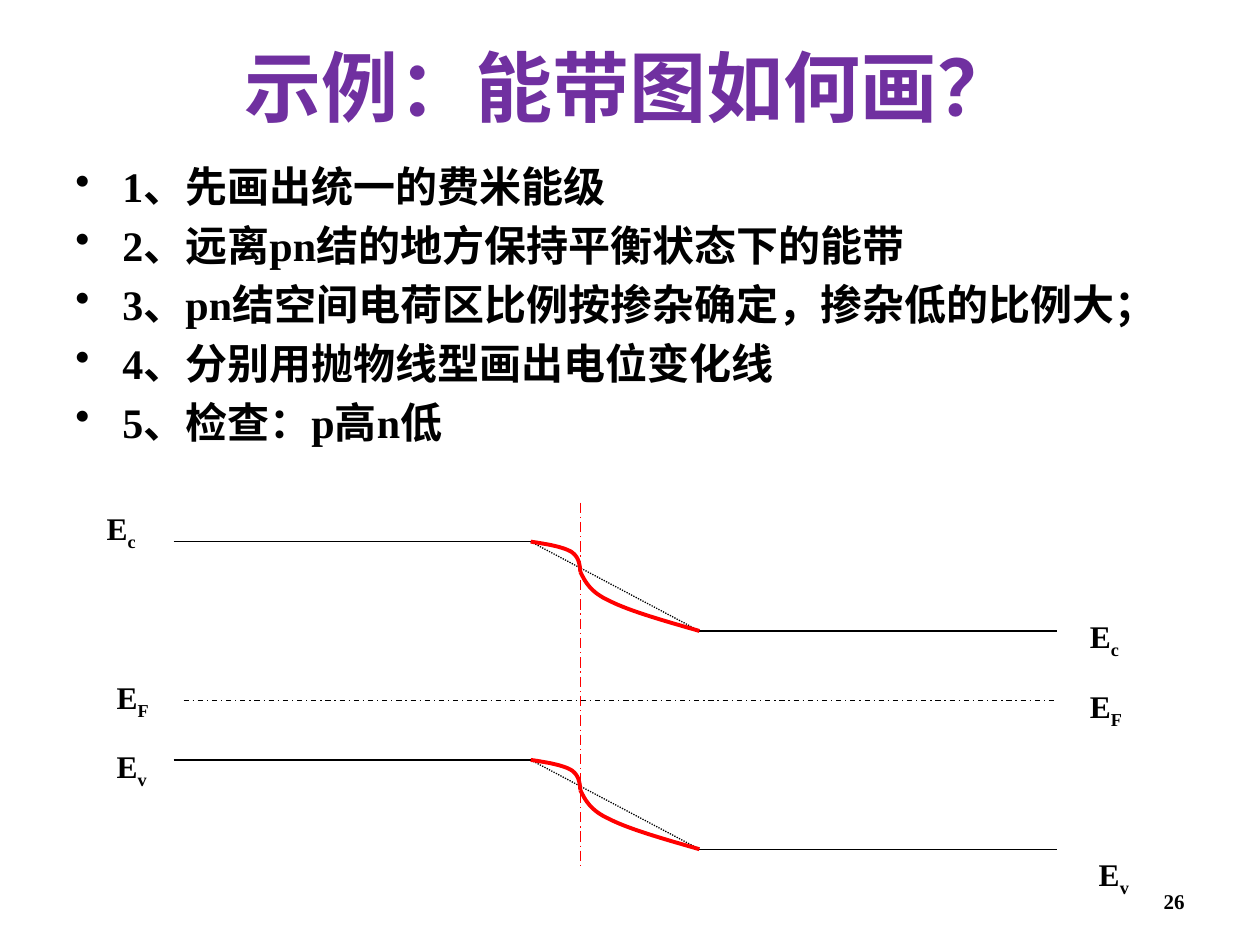
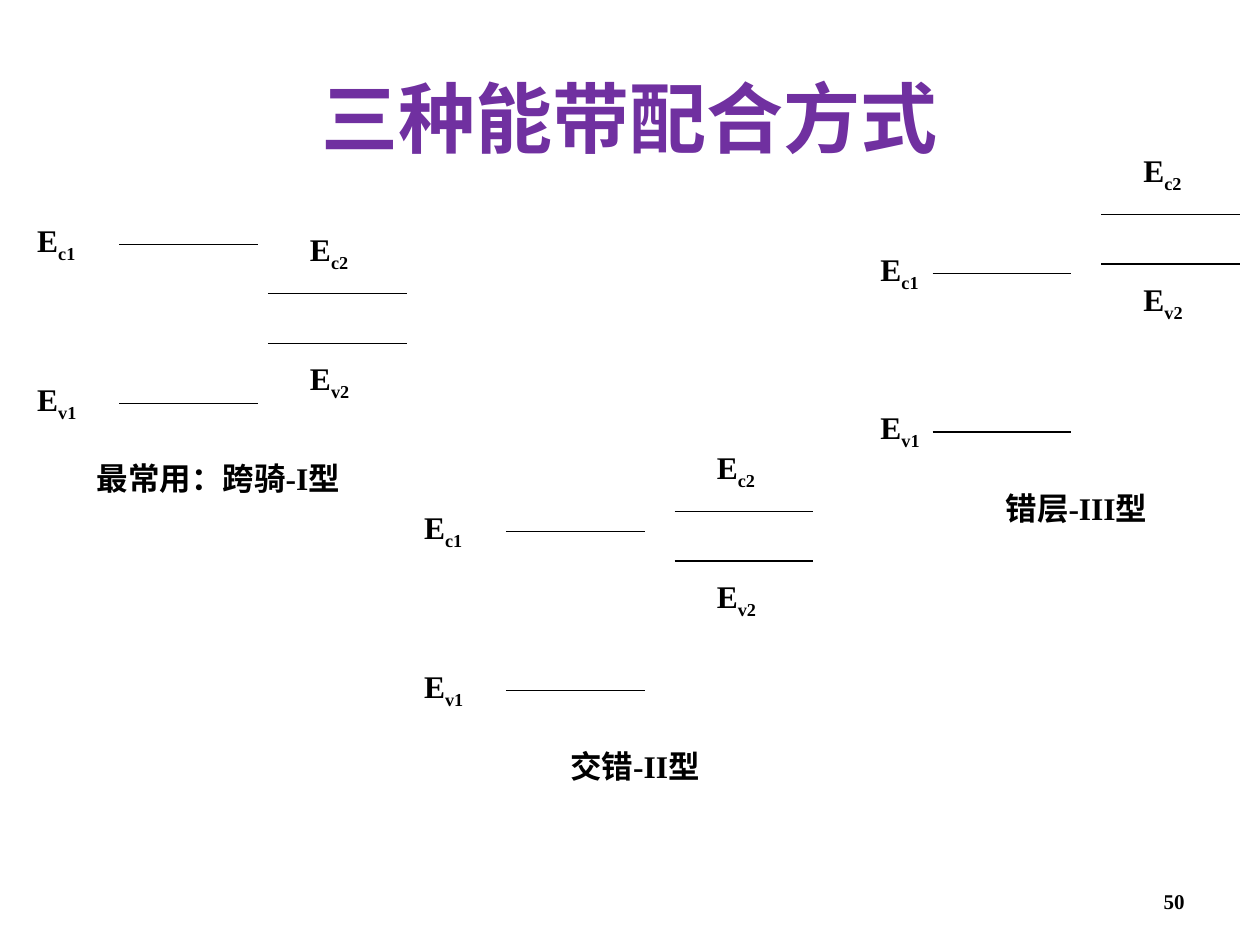
from dataclasses import dataclass

from lxml import etree
from pptx import Presentation
from pptx.dml.color import RGBColor
from pptx.enum.dml import MSO_LINE
from pptx.enum.shapes import MSO_CONNECTOR
from pptx.enum.text import MSO_ANCHOR, PP_ALIGN
from pptx.oxml.ns import qn
from pptx.util import Cm, Pt

# Shared style
FONT = "Times New Roman"
BLACK, PURPLE, RED = "000000", "7030A0", "FF0000"
LEFT, CENTER, RIGHT = PP_ALIGN.LEFT, PP_ALIGN.CENTER, PP_ALIGN.RIGHT
TOP, MIDDLE = MSO_ANCHOR.TOP, MSO_ANCHOR.MIDDLE
STRAIGHT = MSO_CONNECTOR.STRAIGHT
DASH_DOT, LONG_DASH_DOT = MSO_LINE.DASH_DOT, MSO_LINE.LONG_DASH_DOT
DOTTED = MSO_LINE.ROUND_DOT
LABEL_HEIGHT = 1.02
Point = tuple[float, float]

# Band bending on the first slide, lengths in cm
BEND_LEFT, BEND_RIGHT, JUNCTION_X = 10.7, 14.1, 11.7
BAND_LEFT, BAND_RIGHT = 3.5, 21.3
BAND_DROP = 1.8
FERMI_Y = 14.12
BAND_TOPS = (10.92, 15.32)
# Bezier control points, relative to the start of the bend
BEND_CURVES: tuple[tuple[Point, ...], ...] = (
    ((0, 0), (0.33, 0.05), (0.63, 0.1), (0.81, 0.2),
     (0.97, 0.3), (0.99, 0.46), (1, 0.61)),
    ((1, 0.61), (1.1, 0.81), (1.2, 1.02), (1.6, 1.2),
     (2, 1.4), (2.7, 1.6), (3.4, 1.8)),
)
STEPS = (
    "1、先画出统一的费米能级",
    "2、远离pn结的地方保持平衡状态下的能带",
    "3、pn结空间电荷区比例按掺杂确定，掺杂低的比例大；",
    "4、分别用抛物线型画出电位变化线",
    "5、检查：p高n低",
)


@dataclass(frozen=True)
class LevelLabel:
    subscript: str
    left: float
    top: float


@dataclass(frozen=True)
class Alignment:
    """Two materials side by side, each with a conduction and a valence level."""
    caption: str
    caption_left: float
    caption_top: float
    first_left: float
    first_top: float
    second_left: float
    second_top: float
    label_gap: float = 1.9


PN_LABELS = (
    LevelLabel("c", 1.9, 10.13),
    LevelLabel("v", 2.1, 14.94),
    LevelLabel("c", 21.72, 12.32),
    LevelLabel("v", 21.9, 17.12),
    LevelLabel("F", 21.72, 13.72),
    LevelLabel("F", 2.1, 13.54),
)
ALIGNMENTS = (
    Alignment("最常用：跨骑-I型", 0.7, 9.12, 2.4, 4.93, 5.4, 5.92),
    Alignment("交错-II型", 9.1, 14.94, 10.2, 10.72, 13.6, 10.31),
    Alignment("错层-III型", 18, 9.73, 18.8, 5.51, 22.2, 4.32, 1.3),
)
LEVEL_WIDTH, FIRST_GAP, SECOND_GAP = 2.8, 3.2, 1.0


def color(value: str) -> RGBColor:
    return RGBColor.from_string(value)


def style_paragraph(paragraph, size: float, align=LEFT, fill: str = BLACK) -> None:
    paragraph.alignment = align
    font = paragraph.font
    font.name, font.size, font.bold = FONT, Pt(size), True
    font.color.rgb = color(fill)


def add_frame(shapes, left: float, top: float, width: float, height: float, anchor=TOP):
    frame = shapes.add_textbox(Cm(left), Cm(top), Cm(width), Cm(height)).text_frame
    frame.word_wrap = True
    frame.vertical_anchor = anchor
    return frame


def add_text(shapes, text: str, left: float, top: float, width: float, height: float,
             size: float, align=LEFT, anchor=TOP, fill: str = BLACK) -> None:
    frame = add_frame(shapes, left, top, width, height, anchor)
    paragraph = frame.paragraphs[0]
    paragraph.text = text
    style_paragraph(paragraph, size, align, fill)


def add_level_label(shapes, label: LevelLabel, width: float) -> None:
    frame = add_frame(shapes, label.left, label.top, width, LABEL_HEIGHT)
    paragraph = frame.paragraphs[0]
    style_paragraph(paragraph, 18)
    paragraph.add_run().text = "E"
    subscript = paragraph.add_run()
    subscript.text = label.subscript
    subscript._r.get_or_add_rPr().set("baseline", "-25000")


def add_line(shapes, start: Point, end: Point, stroke: str = BLACK, dash=None) -> None:
    connector = shapes.add_connector(STRAIGHT, *(Cm(value) for value in start + end))
    connector.line.color.rgb = color(stroke)
    connector.line.width = Pt(0.75)
    if dash is not None:
        connector.line.dash_style = dash
    etree.SubElement(connector._element.spPr, qn("a:effectLst"))


def bezier_points(controls: tuple[Point, ...], count: int = 16) -> list[Point]:
    """Sample a chain of cubic Bezier segments."""
    points = [controls[0]]
    for first in range(0, len(controls) - 1, 3):
        segment = controls[first:first + 4]
        for step in range(1, count + 1):
            t = step / count
            weights = ((1 - t) ** 3, 3 * t * (1 - t) ** 2, 3 * t * t * (1 - t), t ** 3)
            x, y = (sum(w * p[axis] for w, p in zip(weights, segment)) for axis in (0, 1))
            points.append((x, y))
    return points


def add_curve(shapes, left: float, top: float, controls: tuple[Point, ...]) -> None:
    points = [(Cm(left + x), Cm(top + y)) for x, y in bezier_points(controls)]
    builder = shapes.build_freeform(*points[0])
    builder.add_line_segments(points[1:], close=False)
    curve = builder.convert_to_shape()
    curve.fill.background()
    curve.line.color.rgb = color(RED)
    curve.line.width = Pt(2.25)
    curve.shadow.inherit = False


def add_slide(presentation, title: str, title_top: float, number: int):
    slide = presentation.slides.add_slide(presentation.slide_layouts[6])
    add_text(slide.shapes, str(number), 18.2, 17.65, 5.93, LABEL_HEIGHT, 12, RIGHT, MIDDLE)
    add_text(slide.shapes, title, 1.27, title_top, 22.86, 3.18, 44, CENTER, MIDDLE, PURPLE)
    return slide


def add_steps(shapes) -> None:
    frame = add_frame(shapes, 1.27, 3.12, 22.86, 12.57)
    for index, step in enumerate(STEPS):
        paragraph = frame.add_paragraph() if index else frame.paragraphs[0]
        paragraph.text = step
        style_paragraph(paragraph, 24)
        paragraph.space_before = Pt(4.8)
        properties = paragraph._p.get_or_add_pPr()
        properties.set("marL", str(Cm(0.95)))
        properties.set("indent", str(-Cm(0.95)))
        bullet = etree.Element(qn("a:buChar"), char="•")
        properties.find(qn("a:defRPr")).addprevious(bullet)


def build_band_bending(presentation) -> None:
    shapes = add_slide(presentation, "示例：能带图如何画？", 0.13, 26).shapes
    add_steps(shapes)

    # Fermi level and junction
    add_line(shapes, (3.7, FERMI_Y), (BAND_RIGHT, FERMI_Y), dash=DASH_DOT)
    add_line(shapes, (JUNCTION_X, 10.13), (JUNCTION_X, 17.53), RED, LONG_DASH_DOT)

    # Conduction and valence bands
    for top in BAND_TOPS:
        bottom = top + BAND_DROP
        add_line(shapes, (BAND_LEFT, top), (BEND_LEFT, top))
        add_line(shapes, (BEND_RIGHT, bottom), (BAND_RIGHT, bottom))
        add_line(shapes, (BEND_LEFT, top), (BEND_RIGHT, bottom), dash=DOTTED)
        for controls in BEND_CURVES:
            add_curve(shapes, BEND_LEFT, top, controls)

    for label in PN_LABELS:
        add_level_label(shapes, label, 1.4)


def add_alignment(slide, item: Alignment) -> None:
    add_text(slide.shapes, item.caption, item.caption_left, item.caption_top,
             7.4, LABEL_HEIGHT, 18, CENTER)
    shapes = slide.shapes.add_group_shape().shapes
    first_label, second_label = item.first_left - item.label_gap, item.second_left + 0.6
    first_bottom, second_bottom = item.first_top + FIRST_GAP, item.second_top + SECOND_GAP
    levels = (
        (item.first_left, item.first_top, LevelLabel("c1", first_label, item.first_top - 0.6)),
        (item.first_left, first_bottom, LevelLabel("v1", first_label, first_bottom - 0.6)),
        (item.second_left, item.second_top,
         LevelLabel("c2", second_label, item.second_top - 1.4)),
        (item.second_left, second_bottom, LevelLabel("v2", second_label, second_bottom + 0.2)),
    )
    for left, y, label in levels:
        add_line(shapes, (left, y), (left + LEVEL_WIDTH, y))
        add_level_label(shapes, label, 1.7)


def build_alignments(presentation) -> None:
    slide = add_slide(presentation, "三种能带配合方式", 0.76, 50)
    for item in ALIGNMENTS:
        add_alignment(slide, item)


def main() -> None:
    presentation = Presentation()
    presentation.slide_width, presentation.slide_height = Cm(25.4), Cm(19.05)
    build_band_bending(presentation)
    build_alignments(presentation)
    presentation.save("out.pptx")


if __name__ == "__main__":
    main()
